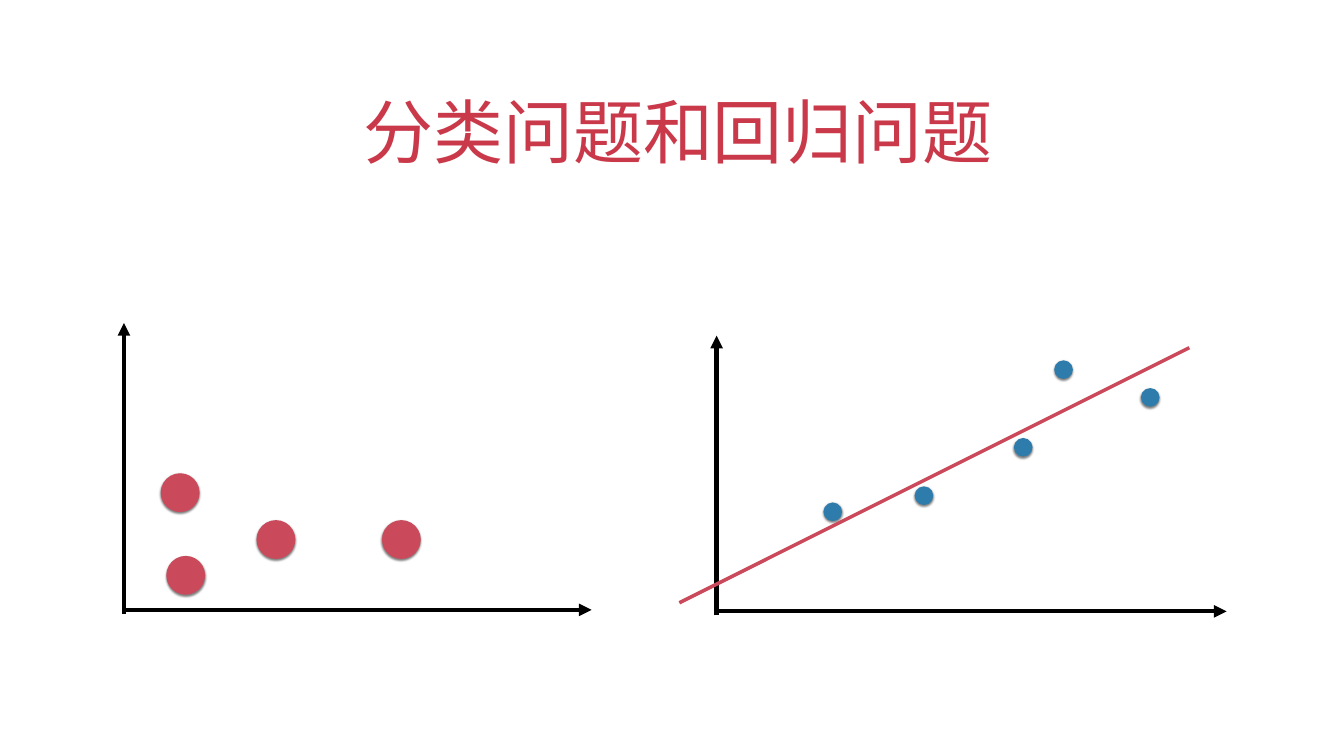
from collections import namedtuple
from dataclasses import dataclass

from lxml import etree
from pptx import Presentation
from pptx import util as u
from pptx.dml.color import RGBColor
from pptx.enum import shapes, text
from pptx.oxml.ns import qn

Box = namedtuple("Box", "left top width height")


@dataclass(frozen=True)
class Theme:
    title: str = "C9394A"
    red: str = "CA495A"
    blue: str = "2E7CAC"
    black: str = "000000"
    font: str = "Arial"
    title_size: int = 100
    axis_width: int = 6
    trend_width: int = 5
    axis_overlap: float = 0.08


THEME = Theme()


def add_text(page, box, words, *, size, color, font, indent=0, margin=0.06):
    frame = page.shapes.add_textbox(*map(u.Inches, box)).text_frame
    frame.word_wrap = True
    frame.vertical_anchor = text.MSO_ANCHOR.BOTTOM
    frame.margin_left = frame.margin_right = u.Inches(margin)
    frame.margin_top = frame.margin_bottom = u.Inches(margin)
    para = frame.paragraphs[0]
    para.alignment = text.PP_ALIGN.CENTER
    properties = para._p.get_or_add_pPr()
    properties.set("marL", "0")
    properties.set("indent", str(u.Inches(indent)))
    span = para.add_run()
    span.text = words
    span.font.size = u.Pt(size)
    span.font.name = font
    span.font.color.rgb = RGBColor.from_string(color)
    etree.SubElement(span.font._element, qn("a:ea"), typeface=font)


def add_line(group, start, end, color, width, arrow=False):
    line = group.shapes.add_connector(
        shapes.MSO_CONNECTOR.STRAIGHT, *map(u.Inches, (*start, *end))
    )
    line.line.width = u.Pt(width)
    line.line.color.rgb = RGBColor.from_string(color)
    properties = line._element.spPr
    if arrow:
        etree.SubElement(properties.find(qn("a:ln")), qn("a:tailEnd"), type="triangle")
    etree.SubElement(properties, qn("a:effectLst"))


def add_dot(group, left, top, size, color):
    dot = group.shapes.add_shape(
        shapes.MSO_SHAPE.OVAL, *map(u.Inches, (left, top, size, size))
    )
    dot.fill.solid()
    dot.fill.fore_color.rgb = RGBColor.from_string(color)
    dot.line.fill.background()
    dot.shadow.inherit = False
    shadow = etree.SubElement(
        dot._element.spPr.find(qn("a:effectLst")), qn("a:outerShdw"),
        blurRad=str(u.Pt(3)), dist=str(u.Pt(2)), dir="5400000", rotWithShape="0",
    )
    tint = etree.SubElement(shadow, qn("a:srgbClr"), val=THEME.black)
    etree.SubElement(tint, qn("a:alpha"), val="50000")


def add_plot(page, box, dots, dot_size, dot_color, trend=None):
    group = page.shapes.add_group_shape()
    bottom = box.top + box.height
    baseline = bottom - THEME.axis_overlap
    axes = [
        ((box.left, baseline), (box.left + box.width, baseline)),
        ((box.left, bottom), (box.left, box.top)),
    ]
    for start, end in axes:
        add_line(group, start, end, THEME.black, THEME.axis_width, arrow=True)
    for across, down in dots:
        add_dot(group, box.left + across, box.top + down, dot_size, dot_color)
    if trend:
        start, end = [(box.left + across, box.top + down) for across, down in trend]
        add_line(group, start, end, THEME.red, THEME.trend_width)


def add_title(page, box):
    add_text(page, box, "分类问题和回归问题", size=THEME.title_size,
             color=THEME.title, font=THEME.font, indent=0.25)


def add_classification(page, box):
    dots = [(0.73, 2.98), (0.84, 4.62), (2.63, 3.91), (5.12, 3.91)]
    add_plot(page, box, dots, 0.77, THEME.red)


def add_regression(page, box):
    dots = [(2.12, 3.31), (3.93, 2.99), (5.9, 2.03), (6.7, 0.49), (8.42, 1.04)]
    add_plot(page, box, dots, 0.37, THEME.blue, trend=[(-0.74, 5.3), (9.38, 0.24)])


def main():
    deck = Presentation()
    deck.slide_width = u.Inches(26.67)
    deck.slide_height = u.Inches(15)
    page = deck.slides.add_slide(deck.slide_layouts[6])
    add_title(page, Box(1.94, 1.27, 22.78, 2.22))
    add_classification(page, Box(2.46, 6.41, 9.28, 5.77))
    add_regression(page, Box(14.22, 6.66, 10.12, 5.55))
    deck.save("out.pptx")


if __name__ == "__main__":
    main()
